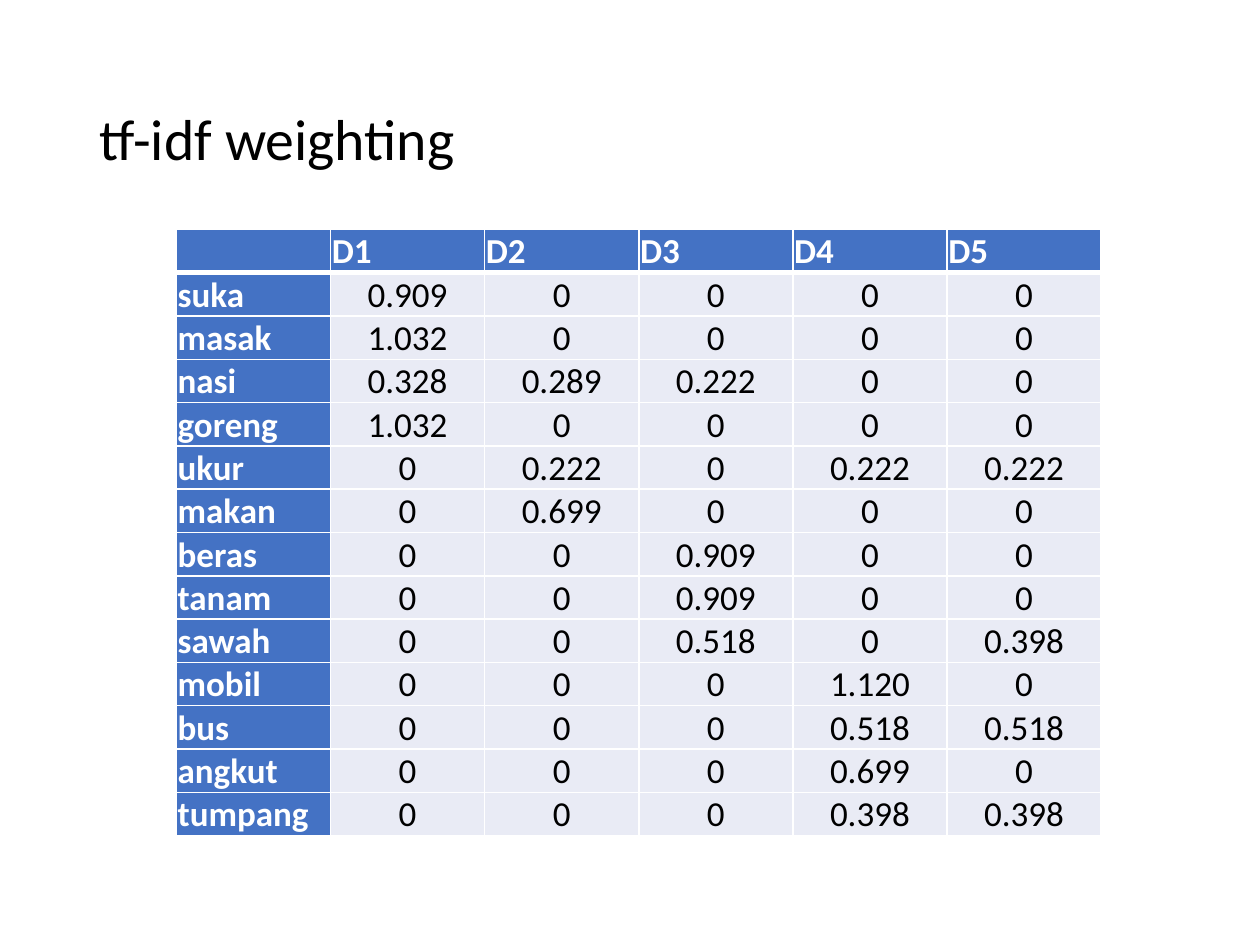
from lxml import etree
from pptx import Presentation, util as u
from pptx.dml.color import RGBColor
from pptx.enum import text
from pptx.oxml.ns import qn

BLACK = RGBColor(0x00, 0x00, 0x00)
WHITE = RGBColor(0xFF, 0xFF, 0xFF)
BLUE = RGBColor(0x44, 0x72, 0xC4)
PALE = RGBColor(0xE9, 0xEB, 0xF5)

WEIGHTS = [
    ["", "D1", "D2", "D3", "D4", "D5"],
    ["suka", "0.909", "0", "0", "0", "0"],
    ["masak", "1.032", "0", "0", "0", "0"],
    ["nasi", "0.328", "0.289", "0.222", "0", "0"],
    ["goreng", "1.032", "0", "0", "0", "0"],
    ["ukur", "0", "0.222", "0", "0.222", "0.222"],
    ["makan", "0", "0.699", "0", "0", "0"],
    ["beras", "0", "0", "0.909", "0", "0"],
    ["tanam", "0", "0", "0.909", "0", "0"],
    ["sawah", "0", "0", "0.518", "0", "0.398"],
    ["mobil", "0", "0", "0", "1.120", "0"],
    ["bus", "0", "0", "0", "0.518", "0.518"],
    ["angkut", "0", "0", "0", "0.699", "0"],
    ["tumpang", "0", "0", "0", "0.398", "0.398"],
]


def set_borders(cell, widths):
    """Give the cell white borders; widths are points by side tag."""
    properties = cell._tc.get_or_add_tcPr()
    for position, (side, width) in enumerate(widths.items()):
        line = etree.Element(qn(f"a:{side}"), w=str(u.Pt(width)))
        fill = etree.SubElement(line, qn("a:solidFill"))
        etree.SubElement(fill, qn("a:srgbClr"), val=str(WHITE))
        properties.insert(position, line)


presentation = Presentation()
presentation.slide_width = u.Inches(10)
presentation.slide_height = u.Inches(7.5)
slide = presentation.slides.add_slide(presentation.slide_layouts[6])

# Title
title = slide.shapes.add_textbox(u.Inches(0.69), u.Inches(0.4), u.Inches(8.62), u.Inches(1.45))
title.text_frame.word_wrap = True
title.text_frame.vertical_anchor = text.MSO_ANCHOR.MIDDLE
paragraph = title.text_frame.paragraphs[0]
paragraph.text = "tf-idf weighting"
paragraph.line_spacing = 0.9
paragraph.font.name = "Calibri"
paragraph.font.size = u.Pt(33)
paragraph.font.color.rgb = BLACK

# Weight table: terms by documents
table = slide.shapes.add_table(
    len(WEIGHTS), len(WEIGHTS[0]),
    u.Inches(1.4), u.Inches(1.82), u.Inches(7.34), u.Inches(4.81),
).table
table.first_col = True
table.horz_banding = False

for row, values in enumerate(WEIGHTS):
    for column, value in enumerate(values):
        is_header = row == 0 or column == 0
        cell = table.cell(row, column)
        cell.fill.solid()
        cell.fill.fore_color.rgb = BLUE if is_header else PALE
        cell.margin_left = cell.margin_right = cell.margin_top = u.Inches(0.01)
        cell.margin_bottom = 0
        cell.vertical_anchor = text.MSO_ANCHOR.BOTTOM
        set_borders(cell, {
            "lnL": 1, "lnR": 1,
            "lnT": 3 if row == 1 else 1,
            "lnB": 3 if row == 0 else 1,
        })
        paragraph = cell.text_frame.paragraphs[0]
        paragraph.text = value
        paragraph.alignment = text.PP_ALIGN.LEFT if is_header else text.PP_ALIGN.CENTER
        paragraph.font.name = "Calibri"
        paragraph.font.size = u.Pt(20)
        paragraph.font.bold = is_header
        paragraph.font.color.rgb = WHITE if is_header else BLACK

presentation.save("out.pptx")
